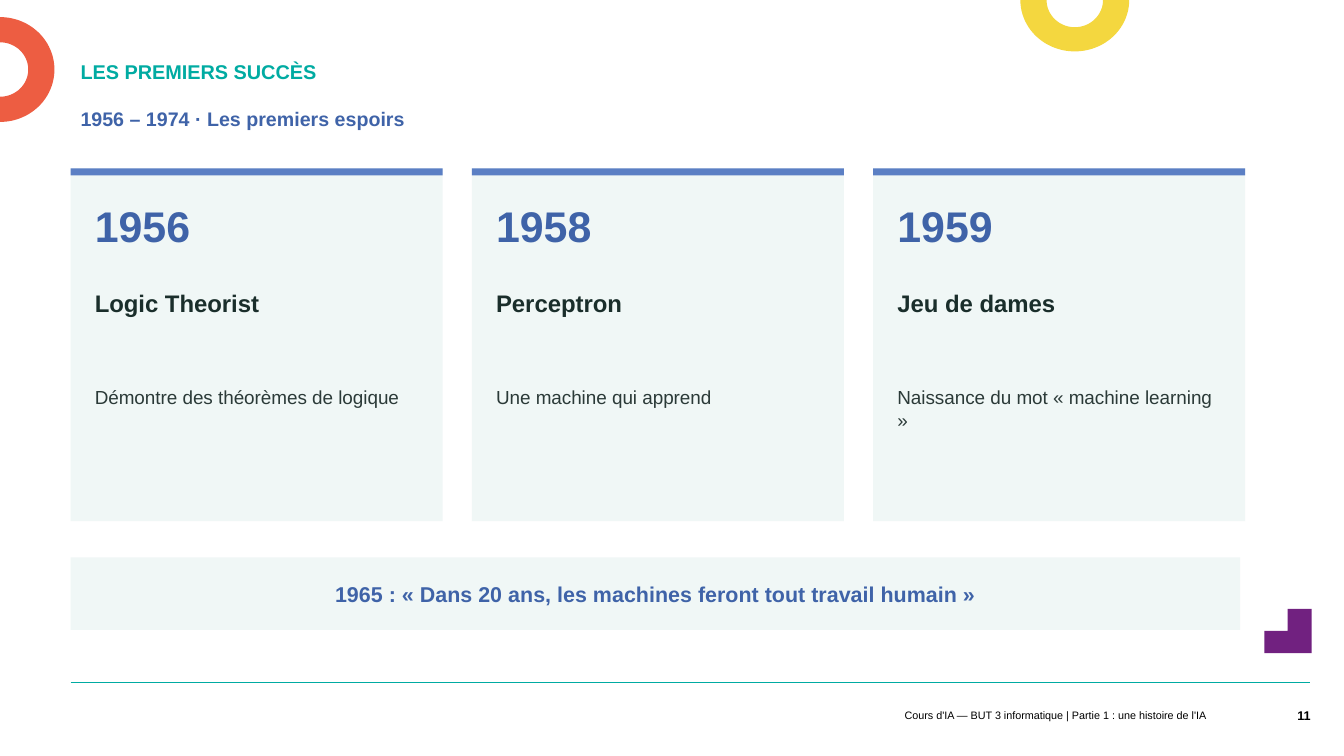
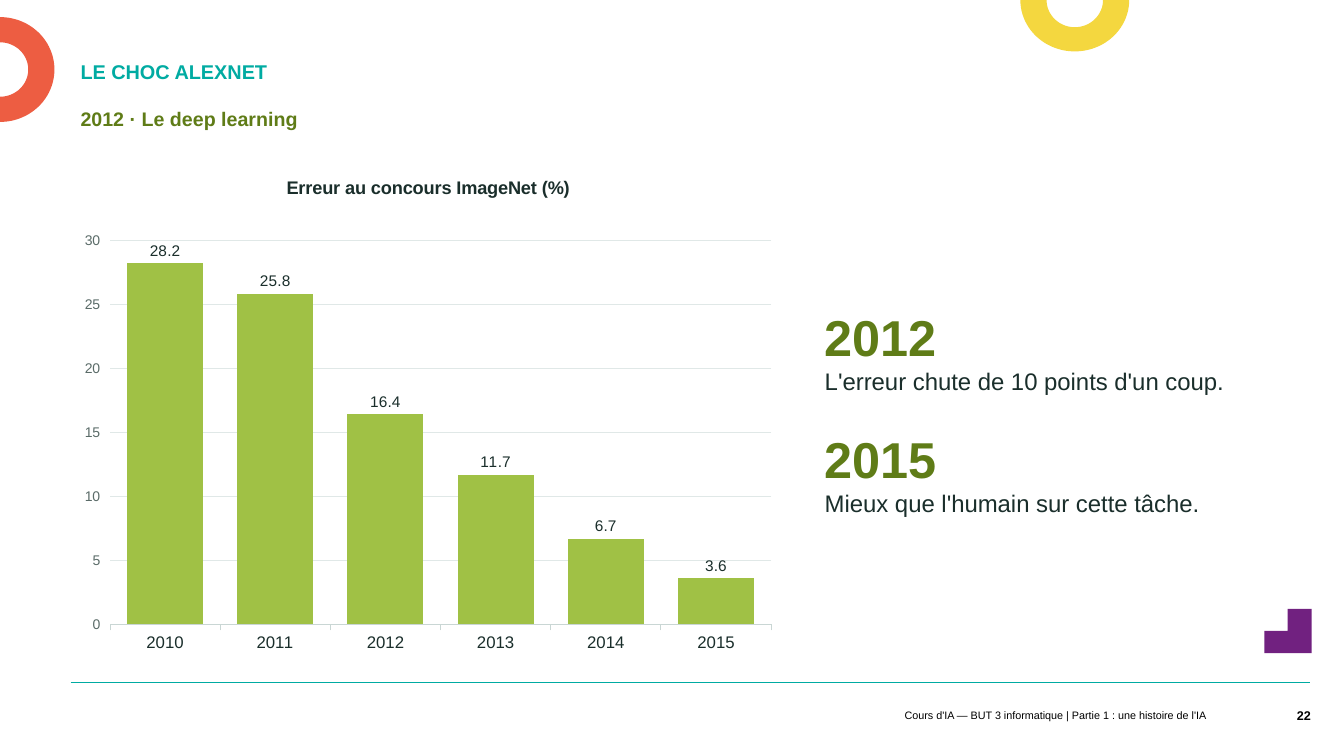
from dataclasses import dataclass
from math import cos, radians, sin

from lxml.etree import SubElement
from pptx import Presentation
from pptx.chart.data import CategoryChartData
from pptx.dml.color import RGBColor
from pptx.enum.chart import XL_CHART_TYPE, XL_LABEL_POSITION, XL_TICK_MARK
from pptx.enum.shapes import MSO_CONNECTOR, MSO_SHAPE
from pptx.enum.text import MSO_ANCHOR, PP_ALIGN
from pptx.oxml.ns import qn
from pptx.util import Pt

PX = 9144


@dataclass(frozen=True)
class Theme:
    font: str = "Arial"
    teal: str = "00ABA2"
    yellow: str = "F4D73F"
    red: str = "ED5D42"
    purple: str = "712180"
    blue: str = "3F63A8"
    blue_band: str = "5B7FC4"
    green: str = "5F7C17"
    green_bar: str = "A0C145"
    card: str = "F0F7F6"
    ink: str = "1A2E2B"
    body: str = "2B3A38"
    muted: str = "5A6B68"
    axis: str = "C9D6D4"
    grid: str = "E0E8E7"
    black: str = "000000"
    title_pt: float = 14.2
    period_pt: float = 14
    footer_pt: float = 7.7
    number_pt: float = 9
    year_pt: float = 30.6
    name_pt: float = 17.1
    text_pt: float = 13.5
    quote_pt: float = 15.3
    fact_pt: float = 36
    chart_title_pt: float = 13
    category_pt: float = 12
    label_pt: float = 11
    value_pt: float = 10


T = Theme()


def set_font(font, size, colour, bold=False):
    for key, value in {"name": T.font, "size": Pt(size), "bold": bold}.items():
        setattr(font, key, value)
    font.color.rgb = RGBColor.from_string(colour)


def add_text(s, box, lines, inset=(0, 0, 0, 0), anchor=MSO_ANCHOR.TOP, **fmt):
    tf = s.shapes.add_textbox(*[v * PX for v in box]).text_frame
    tf.word_wrap = True
    tf.vertical_anchor = anchor
    for side, value in zip(("left", "top", "right", "bottom"), inset):
        setattr(tf, f"margin_{side}", value * PX)
    for i, (words, size, colour, bold, before) in enumerate(lines):
        p = tf.add_paragraph() if i else tf.paragraphs[0]
        for key, value in {**fmt, "space_before": Pt(before)}.items():
            setattr(p, key, value)
        r = p.add_run()
        r.text = words
        set_font(r.font, size, colour, bold)


prs = Presentation()
prs.slide_width, prs.slide_height = 1333 * PX, 750 * PX

LEFT = 70
PAD = (10, 5, 10, 5)
FOOTER = "Cours d'IA — BUT 3 informatique | Partie 1 : une histoire de l'IA"
RINGS = [
    (1066, 0, 54, 51, 28, 27, 0, T.yellow),
    (0, 69, 54, 52, 28, 27, -90, T.red),
]
STEP = [(1277, 604), (1301, 604), (1301, 648), (1254, 648), (1254, 626), (1277, 626)]
PAGES = [
    ("LES PREMIERS SUCCÈS", "1956 – 1974 · Les premiers espoirs", T.blue, "11"),
    ("LE CHOC ALEXNET", "2012 · Le deep learning", T.green, "22"),
]

for title, period, accent, number in PAGES:
    s = prs.slides.add_slide(prs.slide_layouts[6])

    outlines = [([(x * PX, y * PX) for x, y in STEP], T.purple)]
    for cx, cy, rx, ry, hole_x, hole_y, start, colour in RINGS:
        turn = [radians(a) for a in range(start, start + 181, 4)]
        outer = [(cx + rx * cos(a), cy + ry * sin(a)) for a in turn]
        inner = [(cx + hole_x * cos(a), cy + hole_y * sin(a)) for a in reversed(turn)]
        outlines.append(([(x * PX, y * PX) for x, y in outer + inner], colour))
    for points, colour in outlines:
        shape = s.shapes.build_freeform(*points[0], scale=1.0)
        shape.add_line_segments(points[1:], close=True)
        sp = shape.convert_to_shape()
        sp.shadow.inherit = False
        sp.fill.solid()
        sp.fill.fore_color.rgb = RGBColor.from_string(colour)
        sp.line.fill.background()

    rule = s.shapes.add_connector(
        MSO_CONNECTOR.STRAIGHT, LEFT * PX, 677 * PX, 1299 * PX, 677 * PX)
    rule.line.color.rgb = RGBColor.from_string(T.teal)
    rule.line.width = Pt(0.5)
    SubElement(rule._element.spPr, qn("a:effectLst"))

    add_text(s, (LEFT, 104, 972, 46), [(period, T.period_pt, accent, True, 0)],
             PAD, line_spacing=0.9)
    add_text(s, (LEFT, 54, 972, 34), [(title, T.title_pt, T.teal, True, 0)],
             PAD, MSO_ANCHOR.BOTTOM, line_spacing=Pt(16.7))
    add_text(s, (543, 698, 663, 23), [(FOOTER, T.footer_pt, T.black, False, 0)],
             PAD, MSO_ANCHOR.MIDDLE, alignment=PP_ALIGN.RIGHT)
    add_text(s, (1245, 690, 55, 40), [(number, T.number_pt, T.black, True, 0)],
             (10, 5, 0, 5), MSO_ANCHOR.MIDDLE, alignment=PP_ALIGN.RIGHT)

s1, s2 = prs.slides

CARDS = [
    ("1956", "Logic Theorist", "Démontre des théorèmes de logique"),
    ("1958", "Perceptron", "Une machine qui apprend"),
    ("1959", "Jeu de dames", "Naissance du mot « machine learning »"),
]
CARD_W, CARD_STEP, CARD_PAD = 369, 398, 24
lefts = [LEFT + i * CARD_STEP for i in range(len(CARDS))]

panels = [(LEFT, 553, 1160, 72, T.card)]
for x in lefts:
    panels += [(x, 167, CARD_W, 350, T.card), (x, 167, CARD_W, 7, T.blue_band)]
for *box, colour in panels:
    sp = s1.shapes.add_shape(MSO_SHAPE.RECTANGLE, *[v * PX for v in box])
    sp.shadow.inherit = False
    sp.fill.solid()
    sp.fill.fore_color.rgb = RGBColor.from_string(colour)
    sp.line.fill.background()

ROWS = [
    (198, 77, T.year_pt, T.blue, True),
    (286, 93, T.name_pt, T.ink, True),
    (383, 124, T.text_pt, T.body, False),
]
for x, card in zip(lefts, CARDS):
    for words, (y, h, size, colour, bold) in zip(card, ROWS):
        add_text(s1, (x + CARD_PAD, y, CARD_W - 2 * CARD_PAD, h),
                 [(words, size, colour, bold, 0)])

quote = "1965 : « Dans 20 ans, les machines feront tout travail humain »"
add_text(s1, (LEFT + CARD_PAD, 553, 1112, 72), [(quote, T.quote_pt, T.blue, True, 0)],
         anchor=MSO_ANCHOR.MIDDLE, alignment=PP_ALIGN.CENTER)

data = CategoryChartData()
data.categories = ["2010", "2011", "2012", "2013", "2014", "2015"]
data.add_series("Erreur (%)", (28.2, 25.8, 16.4, 11.7, 6.7, 3.6))
chart = s2.shapes.add_chart(
    XL_CHART_TYPE.COLUMN_CLUSTERED, LEFT * PX, 157 * PX, 709 * PX, 500 * PX, data).chart
set_font(chart.font, T.label_pt, T.body)
chart.has_legend = False
chart.has_title = True
chart.chart_title.include_in_layout = False
p = chart.chart_title.text_frame.paragraphs[0]
r = p.add_run()
r.text = "Erreur au concours ImageNet (%)"
set_font(r.font, T.chart_title_pt, T.ink, True)

plot = chart.plots[0]
plot.gap_width = 45
plot.vary_by_categories = False
bars = plot.series[0].format.fill
bars.solid()
bars.fore_color.rgb = RGBColor.from_string(T.green_bar)
plot.has_data_labels = True
labels = plot.data_labels
for key, value in {"show_value": True, "position": XL_LABEL_POSITION.OUTSIDE_END,
                   "number_format": "0.0", "number_format_is_linked": False}.items():
    setattr(labels, key, value)
set_font(labels.font, T.label_pt, T.ink)

cat, val = chart.category_axis, chart.value_axis
for key, value in {"minimum_scale": 0, "maximum_scale": 32, "major_unit": 5,
                   "has_major_gridlines": True}.items():
    setattr(val, key, value)
for axis, size, colour in ((cat, T.category_pt, T.ink), (val, T.value_pt, T.muted)):
    axis.major_tick_mark = XL_TICK_MARK.OUTSIDE
    set_font(axis.tick_labels.font, size, colour)
val.format.line.fill.background()
for line, colour in ((cat.format.line, T.axis), (val.major_gridlines.format.line, T.grid)):
    line.color.rgb = RGBColor.from_string(colour)
    line.width = Pt(0.75)

FACTS = [
    ("2012", "L'erreur chute de 10 points d'un coup.", 0),
    ("2015", "Mieux que l'humain sur cette tâche.", 23),
]
lines = []
for year, fact, before in FACTS:
    lines += [(year, T.fact_pt, T.green, True, before), (fact, T.name_pt, T.ink, False, 0)]
add_text(s2, (818, 177, 412, 463), lines, anchor=MSO_ANCHOR.MIDDLE)

prs.save("out.pptx")
